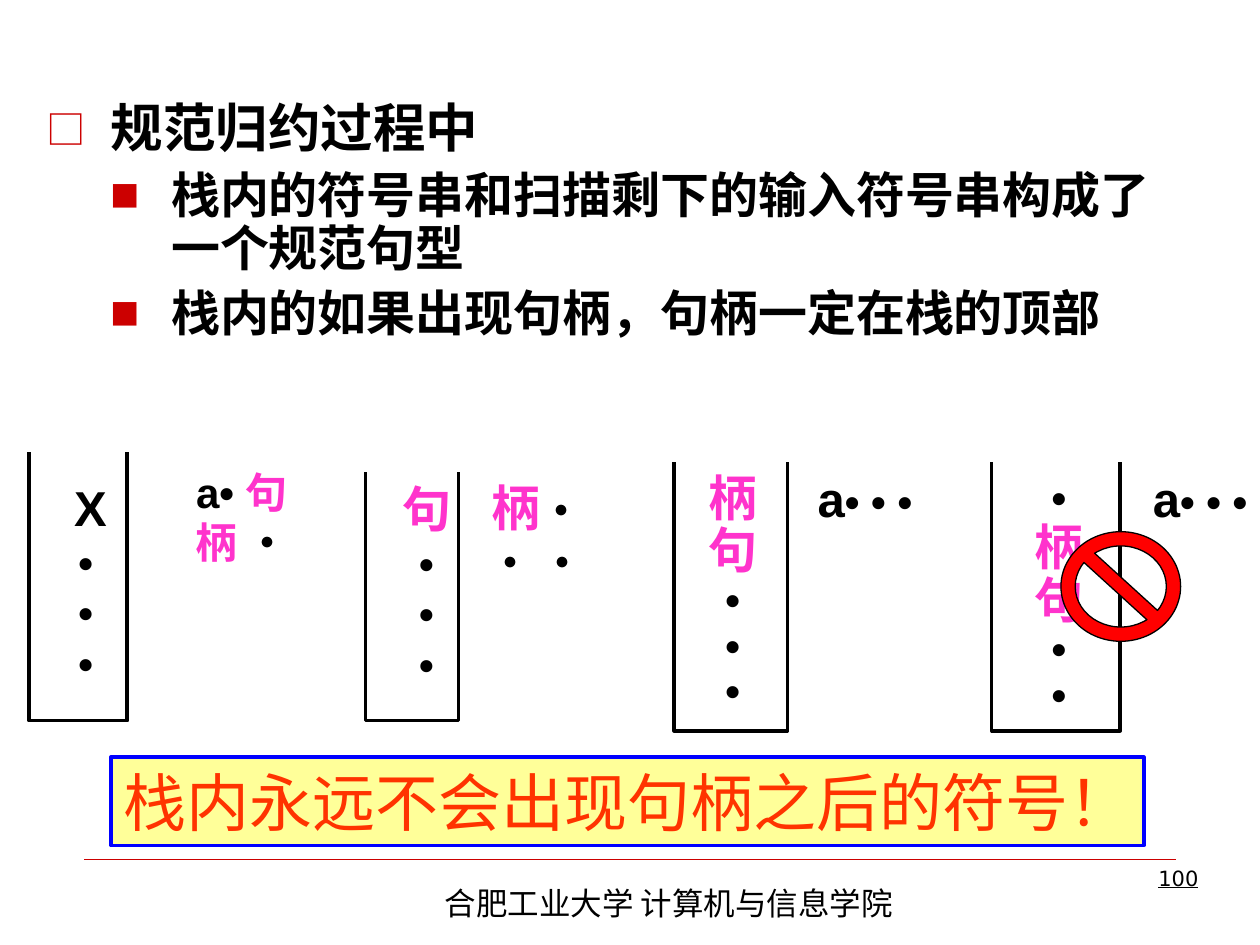
from lxml import etree
from pptx import Presentation
from pptx.dml.color import RGBColor
from pptx.enum.shapes import MSO_CONNECTOR, MSO_SHAPE
from pptx.enum.text import MSO_ANCHOR, PP_ALIGN
from pptx.oxml.ns import qn
from pptx.util import Inches, Pt

CENTER, LEFT, RIGHT = PP_ALIGN.CENTER, PP_ALIGN.LEFT, PP_ALIGN.RIGHT
TOP = MSO_ANCHOR.TOP
STRAIGHT = MSO_CONNECTOR.STRAIGHT
RECTANGLE, NO_SYMBOL = MSO_SHAPE.RECTANGLE, MSO_SHAPE.NO_SYMBOL
BLACK, PINK, RED = "000000", "FF33CC", "CC0000"
CJK_FONT = "Noto Sans CJK SC"

DOT = [("•", 24, BLACK)]
HANDLE_HEAD = [("句", 28, PINK)]
HANDLE_TAIL = [("柄", 28, PINK)]
REST = [("a", 28, BLACK), ("• • •", 24, BLACK)]
STACKS = [
    {"outline": (0.23, 3.59, 0.78, 2.13),
     "content": ((0.26, 0.15, 0.38, 1.77), [[("X", 28, BLACK)], DOT, DOT, DOT], True, 1),
     "remaining": ((0.92, 0.06, 1.54, 0.5),
                   [[("a• ", 24, BLACK), ("句柄 ", 24, PINK), ("•", 24, BLACK)]], True, 1)},
    {"outline": (2.9, 3.75, 0.74, 1.97),
     "content": ((0.19, 0, 0.59, 1.77), [HANDLE_HEAD, DOT, DOT, DOT], False, 1),
     "remaining": ((0.79, -0.01, 1.14, 0.57), [HANDLE_TAIL + [("• • •", 24, BLACK)]], True, 1)},
    {"outline": (5.35, 3.67, 0.9, 2.13),
     "content": ((0.17, 0.04, 0.59, 2.02), [HANDLE_TAIL, HANDLE_HEAD, DOT, DOT, DOT], False, 0.9),
     "remaining": ((1.04, 0, 0.95, 0.57), [REST], False, 1)},
    {"outline": (7.87, 3.67, 1.02, 2.13),
     "content": ((0.24, 0.07, 0.59, 2.02), [DOT, HANDLE_TAIL, HANDLE_HEAD, DOT, DOT], False, 0.9),
     "remaining": ((1.18, 0, 0.95, 0.57), [REST], False, 1)},
]
POINTS = [
    (0, "规范归约过程中"),
    (1, "栈内的符号串和扫描剩下的输入符号串构成了一个规范句型"),
    (1, "栈内的如果出现句柄，句柄一定在栈的顶部"),
]
LEVELS = [
    {"size": 30, "indent": (0.51, -0.51), "before": 0, "bullet": "□", "scale": 75},
    {"size": 28, "indent": (0.99, -0.48), "before": 7, "bullet": "■", "scale": 60},
]


def color(hex_value):
    """Return the colour for a hex string."""
    return RGBColor.from_string(hex_value)


def apply(target, values):
    """Set each named attribute of the target."""
    for name, value in values.items():
        setattr(target, name, value)


def add_run(paragraph, text, size, ink, **values):
    """Append a formatted run to the paragraph."""
    run = paragraph.add_run()
    run.text = text
    apply(run.font, {"size": Pt(size), **values})
    run.font.color.rgb = color(ink)
    etree.SubElement(run.font._element, qn("a:ea"), typeface=CJK_FONT)


def fill_text(frame, lines, align, wrap=True, spacing=1, **values):
    """Write lines of (text, size, colour) runs into the frame."""
    apply(frame, {"word_wrap": wrap, "vertical_anchor": TOP})
    for index, runs in enumerate(lines):
        paragraph = frame.add_paragraph() if index else frame.paragraphs[0]
        apply(paragraph, {"alignment": align, "line_spacing": spacing})
        for text, size, ink in runs:
            add_run(paragraph, text, size, ink, **values)


def add_frame(slide, box):
    """Add a text box and return its text frame."""
    return slide.shapes.add_textbox(*map(Inches, box)).text_frame


def style_shape(shape, outline, weight, fill=None):
    """Give the shape its line and fill without a shadow."""
    shape.shadow.inherit = False
    shape.line.color.rgb = color(outline)
    shape.line.width = Pt(weight)
    if fill:
        shape.fill.solid()
        shape.fill.fore_color.rgb = color(fill)
    else:
        shape.fill.background()


def set_bullet(paragraph, level):
    """Set the indent and the red square bullet of a level."""
    properties = paragraph._p.get_or_add_pPr()
    margin, hanging = level["indent"]
    properties.set("marL", str(Inches(margin)))
    properties.set("indent", str(Inches(hanging)))
    ink = etree.SubElement(properties, qn("a:buClr"))
    etree.SubElement(ink, qn("a:srgbClr"), val=RED)
    etree.SubElement(properties, qn("a:buSzPct"), val=str(level["scale"] * 1000))
    etree.SubElement(properties, qn("a:buFont"), typeface=CJK_FONT)
    etree.SubElement(properties, qn("a:buChar"), char=level["bullet"])


def add_points(slide, box):
    """Add the bulleted statements."""
    frame = add_frame(slide, box)
    frame.word_wrap = True
    for index, (depth, text) in enumerate(POINTS):
        level = LEVELS[depth]
        paragraph = frame.add_paragraph() if index else frame.paragraphs[0]
        set_bullet(paragraph, level)
        apply(paragraph, {"level": depth, "line_spacing": 0.9,
                          "space_before": Pt(level["before"])})
        add_run(paragraph, text, level["size"], BLACK, name="Times New Roman", bold=True)


def add_stack(slide, outline, **texts):
    """Add an open-topped stack with its content and remaining input."""
    left, top, width, height = outline
    right, bottom = left + width, top + height
    corners = [(left, bottom), (right, bottom), (right, top)]
    builder = slide.shapes.build_freeform(Inches(left), Inches(top))
    builder.add_line_segments([tuple(map(Inches, corner)) for corner in corners], close=False)
    style_shape(builder.convert_to_shape(), BLACK, 2)
    for (dx, dy, text_width, text_height), lines, wrap, spacing in texts.values():
        frame = add_frame(slide, (left + dx, top + dy, text_width, text_height))
        fill_text(frame, lines, CENTER, wrap, spacing, name="Arial", bold=True)


def add_prohibition(slide, box):
    """Add the red prohibition sign."""
    sign = slide.shapes.add_shape(NO_SYMBOL, *map(Inches, box))
    sign.adjustments[0] = 0.13
    style_shape(sign, BLACK, 0.75, "FF0000")


def add_conclusion(slide, box):
    """Add the framed conclusion."""
    banner = slide.shapes.add_shape(RECTANGLE, *map(Inches, box))
    style_shape(banner, "0000FF", 2, "FFFF99")
    fill_text(banner.text_frame, [[("栈内永远不会出现句柄之后的符号！", 36, "FF3300")]],
              CENTER, False, name="Arial")


def add_footer(slide, box):
    """Add the footer rule, the school name and the page number."""
    left, top, width, height = box
    ends = (left, top, left + width, top)
    rule = slide.shapes.add_connector(STRAIGHT, *map(Inches, ends))
    rule.line.color.rgb = color(RED)
    rule.line.width = Pt(0.25)
    etree.SubElement(rule._element.spPr, qn("a:effectLst"))
    school = add_frame(slide, (left + 2.76, top + 0.15, 4.8, 0.4))
    fill_text(school, [[("合肥工业大学 计算机与信息学院", 18, BLACK)]], LEFT, name=CJK_FONT)
    page = add_frame(slide, (left + 6.77, top, 2.17, height))
    fill_text(page, [[("100", 12, BLACK)]], RIGHT, name="DejaVu Sans", underline=True)


def main():
    """Build and save the slide."""
    deck = Presentation()
    apply(deck, {"slide_width": Inches(10), "slide_height": Inches(7.5)})
    slide = deck.slides.add_slide(deck.slide_layouts[6])
    add_footer(slide, (0.67, 6.82, 8.66, 0.52))
    add_points(slide, (0.27, 0.76, 9, 2.2))
    for stack in STACKS:
        add_stack(slide, **stack)
    add_prohibition(slide, (8.42, 4.22, 0.95, 0.87))
    add_conclusion(slide, (0.88, 6.01, 8.2, 0.7))
    deck.save("out.pptx")


if __name__ == "__main__":
    main()
